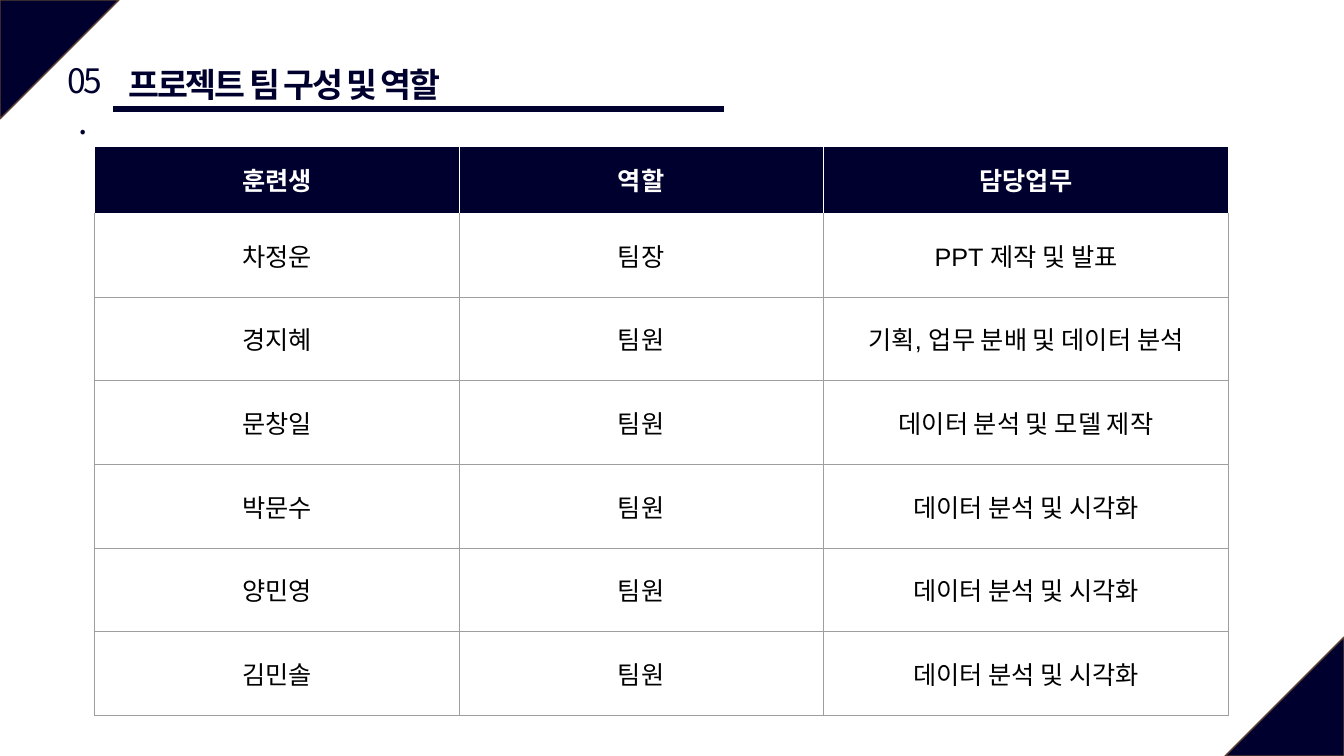
from lxml.etree import SubElement
from pptx import Presentation
from pptx.dml.color import RGBColor
from pptx.enum.shapes import MSO_CONNECTOR as CONN, MSO_SHAPE as SHAPE
from pptx.enum.text import MSO_ANCHOR as ANCHOR, PP_ALIGN as ALIGN
from pptx.oxml.ns import qn
from pptx.util import Inches, Pt

W, H = Inches(13.33), Inches(7.5)
C = {"navy": "00002F", "brown": "5B3F33", "white": "FFFFFF",
     "black": "000000", "grey": "9E9E9E"}
KOREAN = "Noto Sans CJK KR"

ROWS = [
    ("훈련생", "역할", "담당업무"),
    ("차정운", "팀장", "PPT 제작 및 발표"),
    ("경지혜", "팀원", "기획, 업무 분배 및 데이터 분석"),
    ("문창일", "팀원", "데이터 분석 및 모델 제작"),
    ("박문수", "팀원", "데이터 분석 및 시각화"),
    ("양민영", "팀원", "데이터 분석 및 시각화"),
    ("김민솔", "팀원", "데이터 분석 및 시각화"),
]


def rgb(name):
    return RGBColor.from_string(C[name])


def px(percent):
    """Share of the slide's width."""
    return round(W * percent / 100)


def py(percent):
    """Share of the slide's height."""
    return round(H * percent / 100)


def write(p, text, color, align, spacing=None, **font):
    p.alignment = align
    r = p.add_run()
    r.text = text
    for key, value in font.items():
        setattr(r.font, key, value)
    r.font.color.rgb = rgb(color)
    rPr = r.font._element
    SubElement(rPr, qn("a:ea")).set("typeface", KOREAN)
    if spacing is not None:
        rPr.set("spc", str(round(spacing * 100)))


def add_corner(s, x, y, size, rotation):
    sp = s.shapes.add_shape(SHAPE.ISOSCELES_TRIANGLE, x, y, size, size)
    sp.adjustments[0] = 0
    sp.rotation = rotation
    sp.shadow.inherit = False
    sp.fill.solid()
    sp.fill.fore_color.rgb = rgb("navy")
    sp.line.color.rgb = rgb("brown")
    sp.line.width = Pt(1)


def add_rule(s, x1, x2, y):
    line = s.shapes.add_connector(CONN.STRAIGHT, x1, y, x2, y)
    line.line.color.rgb = rgb("navy")
    line.line.width = Pt(4.5)
    SubElement(line._element.spPr, qn("a:effectLst"))


def add_heading(s, box, text, align, bold):
    tf = s.shapes.add_textbox(*box).text_frame
    tf.word_wrap = True
    write(tf.paragraphs[0], text, "navy", align, spacing=-1.5,
          name=KOREAN, size=Pt(24), bold=bold)


def set_borders(cell, top, others):
    tcPr = cell._tc.get_or_add_tcPr()
    for side in "LRTB":
        ln = SubElement(tcPr, qn(f"a:ln{side}"), w=str(Pt(0.6)))
        fill = SubElement(ln, qn("a:solidFill"))
        color = C[top if side == "T" else others]
        SubElement(fill, qn("a:srgbClr"), val=color)


def style_cell(cell, text, row):
    header = row == 0
    cell.vertical_anchor = ANCHOR.MIDDLE
    for side in ("left", "right", "top", "bottom"):
        setattr(cell, f"margin_{side}", Inches(0.08))
    set_borders(cell, "white" if row < 2 else "grey", "white" if header else "grey")
    if header:
        cell.fill.solid()
        cell.fill.fore_color.rgb = rgb("navy")
    else:
        cell.fill.background()
    write(cell.text_frame.paragraphs[0], text, "white" if header else "black",
          ALIGN.CENTER, size=Pt(18), bold=header,
          name=KOREAN if text == "김민솔" else "Arial")


def add_team_table(s, x, y, widths, header_height, row_height):
    heights = [header_height] + [row_height] * (len(ROWS) - 1)
    table = s.shapes.add_table(len(ROWS), len(widths), x, y,
                               sum(widths), sum(heights)).table
    table.horz_banding = False
    for column, width in zip(table.columns, widths):
        column.width = width
    for i, (height, texts) in enumerate(zip(heights, ROWS)):
        table.rows[i].height = height
        for j, text in enumerate(texts):
            style_cell(table.cell(i, j), text, i)


def main():
    prs = Presentation()
    prs.slide_width, prs.slide_height = W, H
    s = prs.slides.add_slide(prs.slide_layouts[6])

    # Corner triangles
    corner = px(8.85)
    add_corner(s, 0, 0, corner, 90)
    add_corner(s, W - corner, H - corner, corner, 270)

    # Heading: rule, number and title
    add_rule(s, px(8.4), px(53.86), py(14.4))
    add_heading(s, (px(4.05), py(7.33), px(4.35), py(6.67)), "05.",
                ALIGN.CENTER, False)
    add_heading(s, (px(8.4), py(7.73), px(28.88), py(6.67)),
                " 프로젝트 팀 구성 및 역할", ALIGN.LEFT, True)

    # Team table
    add_team_table(s, px(7.05), py(19.33), [px(27.1), px(27.1), px(30.18)],
                   py(8.9), py(11.07))

    prs.save("out.pptx")


if __name__ == "__main__":
    main()
